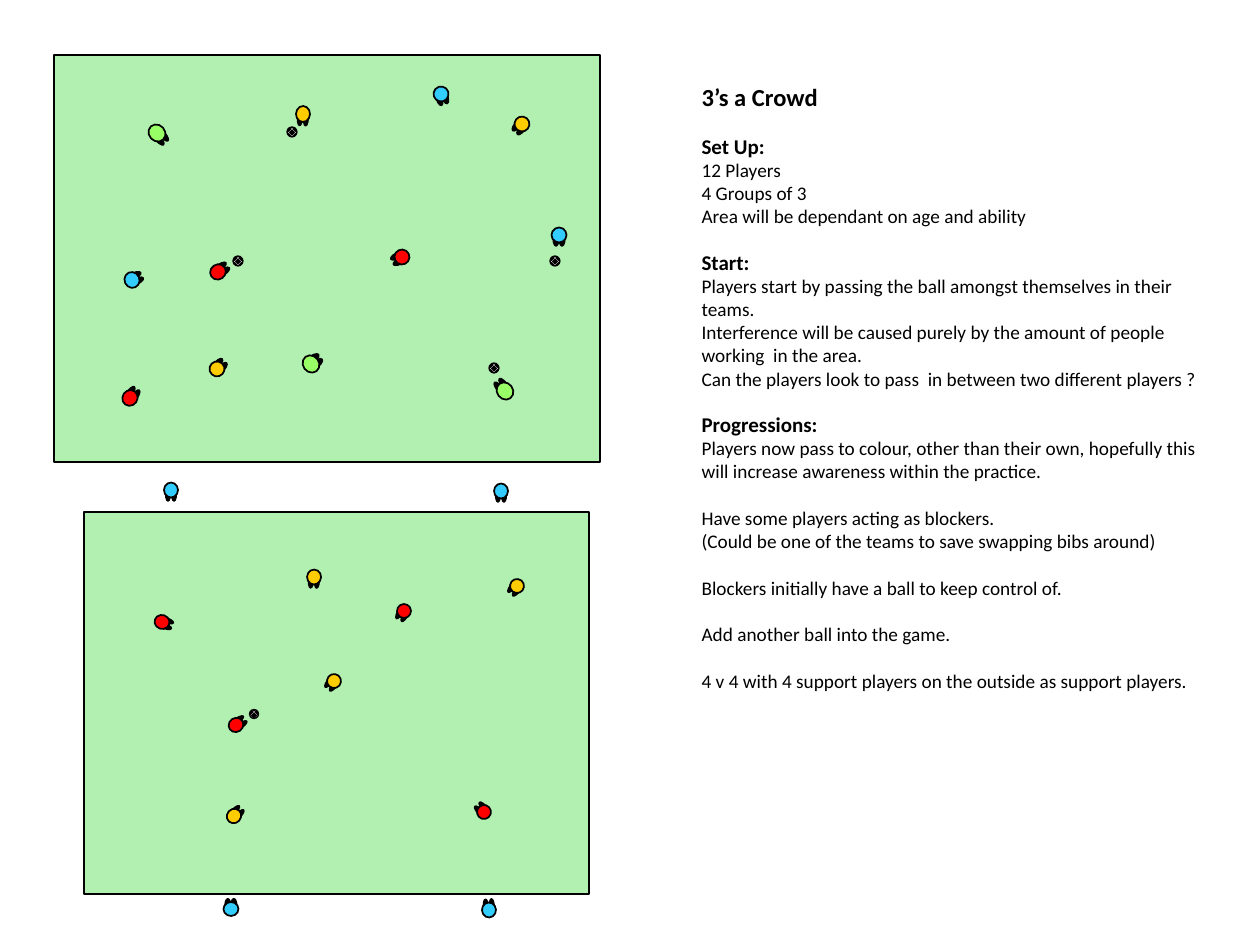
import math
from typing import NamedTuple

import lxml.etree
import pptx
import pptx.dml.color
import pptx.enum.dml
import pptx.enum.shapes
import pptx.enum.text
import pptx.oxml.ns
import pptx.util

EMU_PER_PX = 914400 / 126
BLACK, WHITE, GRASS = "000000", "FFFFFF", "B2F0B2"
GOLD, RED, BLUE, GREEN = "FFCC00", "FF0000", "33CCFF", "99FF66"


class Pitch(NamedTuple):
    left: int
    top: int
    width: int
    height: int


class Player(NamedTuple):
    """A head centred on x, y; at angle 0 the feet point up."""
    x: int
    y: int
    angle: float
    colour: str
    width: int
    height: int


class Ball(NamedTuple):
    x: int
    y: int
    size: int


class Line(NamedTuple):
    text: str
    size: int = 11
    bold: bool = False
    gap: float = 0


PASSING_AREA = [
    Pitch(54, 55, 546, 407),
    Player(217, 369, 42.2, GOLD, 15, 15),
    Player(522, 124, 219, GOLD, 15, 15),
    Player(303, 114, 182, GOLD, 14, 16),
    Player(402, 257, 244.5, RED, 15, 15),
    Player(441, 94, 162.4, BLUE, 15, 15),
    Player(559, 235, 180, BLUE, 15, 15),
    Player(132, 280, 65, BLUE, 16, 15),
    Ball(292, 132, 10),
    Ball(238, 261, 10),
    Ball(555, 261, 10),
    Player(130, 398, 35.5, RED, 15, 16),
    Player(218, 272, 55.5, RED, 15, 16),
    Player(505, 391, 322.9, GREEN, 16, 18),
    Player(311, 364, 52.9, GREEN, 18, 16),
    Player(157, 133, 137.9, GREEN, 16, 18),
    Ball(494, 368, 10),
]
SUPPORT_GAME = [
    Pitch(84, 512, 505, 382),
    Player(234, 816, 42.2, GOLD, 14, 15),
    Player(517, 586, 219, GOLD, 14, 14),
    Player(314, 577, 182, GOLD, 14, 15),
    Player(484, 812, 318.5, RED, 14, 14),
    Player(501, 491, 180, BLUE, 14, 15),
    Player(171, 490, 180, BLUE, 14, 15),
    Player(231, 909, 359, BLUE, 15, 14),
    Ball(254, 714, 9),
    Player(162, 622, 109.5, RED, 14, 15),
    Player(236, 725, 55.5, RED, 14, 15),
    Player(489, 910, 357, BLUE, 14, 15),
    Player(334, 681, 219, GOLD, 14, 14),
    Player(404, 611, 208.5, RED, 14, 14),
]
SECTION_GAP, POINT_GAP = 12.2, 13.4
TITLE = [Line("3’s a Crowd", 14, True)]
BODY = [
    Line("Set Up:", 12, True),
    Line("12 Players"),
    Line("4 Groups of 3"),
    Line("Area will be dependant on age and ability"),
    Line("Start:", 12, True, SECTION_GAP),
    Line("Players start by passing the ball amongst themselves in their teams."),
    Line("Interference will be caused purely by the amount of people working  in the area."),
    Line("Can the players look to pass  in between two different players ?"),
    Line("Progressions:", 12, True, SECTION_GAP),
    Line("Players now pass to colour, other than their own, hopefully this will "
         "increase awareness within the practice."),
    Line("Have some players acting as blockers.", gap=POINT_GAP),
    Line("(Could be one of the teams to save swapping bibs around)"),
    Line("Blockers initially have a ball to keep control of.", gap=POINT_GAP),
    Line("Add another ball into the game.", gap=POINT_GAP),
    Line("4 v 4 with 4 support players on the outside as support players.", gap=POINT_GAP),
]


def px(length: float) -> int:
    return round(length * EMU_PER_PX)


def rgb(colour: str) -> pptx.dml.color.RGBColor:
    return pptx.dml.color.RGBColor.from_string(colour)


def add_outlined(shapes, kind, left: float, top: float, width: float, height: float,
                 colour: str, line_width: float = 0.75):
    shape = shapes.add_shape(kind, px(left), px(top), px(width), px(height))
    shape.shadow.inherit = False
    shape.fill.solid()
    shape.fill.fore_color.rgb = rgb(colour)
    shape.line.color.rgb = rgb(BLACK)
    shape.line.width = pptx.util.Pt(line_width)
    return shape


def add_oval(shapes, x: float, y: float, width: float, height: float, colour: str,
             angle: float = 0, line_width: float = 0.75):
    """Draw an ellipse centred on x, y."""
    oval = add_outlined(shapes, pptx.enum.shapes.MSO_SHAPE.OVAL, x - width / 2,
                        y - height / 2, width, height, colour, line_width)
    oval.rotation = angle
    return oval


def draw_pitch(shapes, pitch: Pitch) -> None:
    add_outlined(shapes, pptx.enum.shapes.MSO_SHAPE.RECTANGLE, *pitch, GRASS)


def draw_player(shapes, player: Player) -> None:
    group = shapes.add_group_shape()
    sine = math.sin(math.radians(player.angle))
    cosine = math.cos(math.radians(player.angle))
    forward = player.height * 0.24
    for side in (-3, 3):
        add_oval(group.shapes, player.x + forward * sine + side * cosine,
                 player.y - forward * cosine + side * sine,
                 round(player.width * 0.38), player.height, BLACK, player.angle)
    add_oval(group.shapes, player.x, player.y, player.width, player.height,
             player.colour, player.angle, 1)


def draw_ball(shapes, ball: Ball) -> None:
    oval = add_oval(shapes, ball.x, ball.y, ball.size, ball.size, BLACK)
    oval.fill.patterned()
    oval.fill.pattern = pptx.enum.dml.MSO_PATTERN.SOLID_DIAMOND
    oval.fill.fore_color.rgb = rgb(WHITE)
    oval.fill.back_color.rgb = rgb(BLACK)


def fill_placeholder(placeholder, lines: list[Line], *, left: int, top: int,
                     width: int, height: int) -> None:
    placeholder.left, placeholder.top = px(left), px(top)
    placeholder.width, placeholder.height = px(width), px(height)
    frame = placeholder.text_frame
    frame.word_wrap = True
    frame.auto_size = pptx.enum.text.MSO_AUTO_SIZE.NONE
    frame.vertical_anchor = pptx.enum.text.MSO_ANCHOR.TOP
    for index, line in enumerate(lines):
        paragraph = frame.add_paragraph() if index else frame.paragraphs[0]
        properties = paragraph._p.get_or_add_pPr()
        properties.set("marL", "0")
        properties.set("indent", "0")
        lxml.etree.SubElement(properties, pptx.oxml.ns.qn("a:buNone"))
        paragraph.alignment = pptx.enum.text.PP_ALIGN.LEFT
        paragraph.space_before = pptx.util.Pt(line.gap)
        run = paragraph.add_run()
        run.text = line.text
        run.font.name = "Calibri"
        run.font.size = pptx.util.Pt(line.size)
        run.font.bold = line.bold
        run.font.color.rgb = rgb(BLACK)


def main() -> None:
    presentation = pptx.Presentation()
    presentation.slide_width, presentation.slide_height = px(1260), px(945)
    slide = presentation.slides.add_slide(presentation.slide_layouts[1])
    fill_placeholder(slide.shapes.title, TITLE, left=689, top=76, width=536, height=46)
    fill_placeholder(slide.placeholders[1], BODY, left=689, top=127, width=536, height=787)
    painters = {Pitch: draw_pitch, Player: draw_player, Ball: draw_ball}
    for item in PASSING_AREA + SUPPORT_GAME:
        painters[type(item)](slide.shapes, item)
    presentation.save("out.pptx")


if __name__ == "__main__":
    main()
